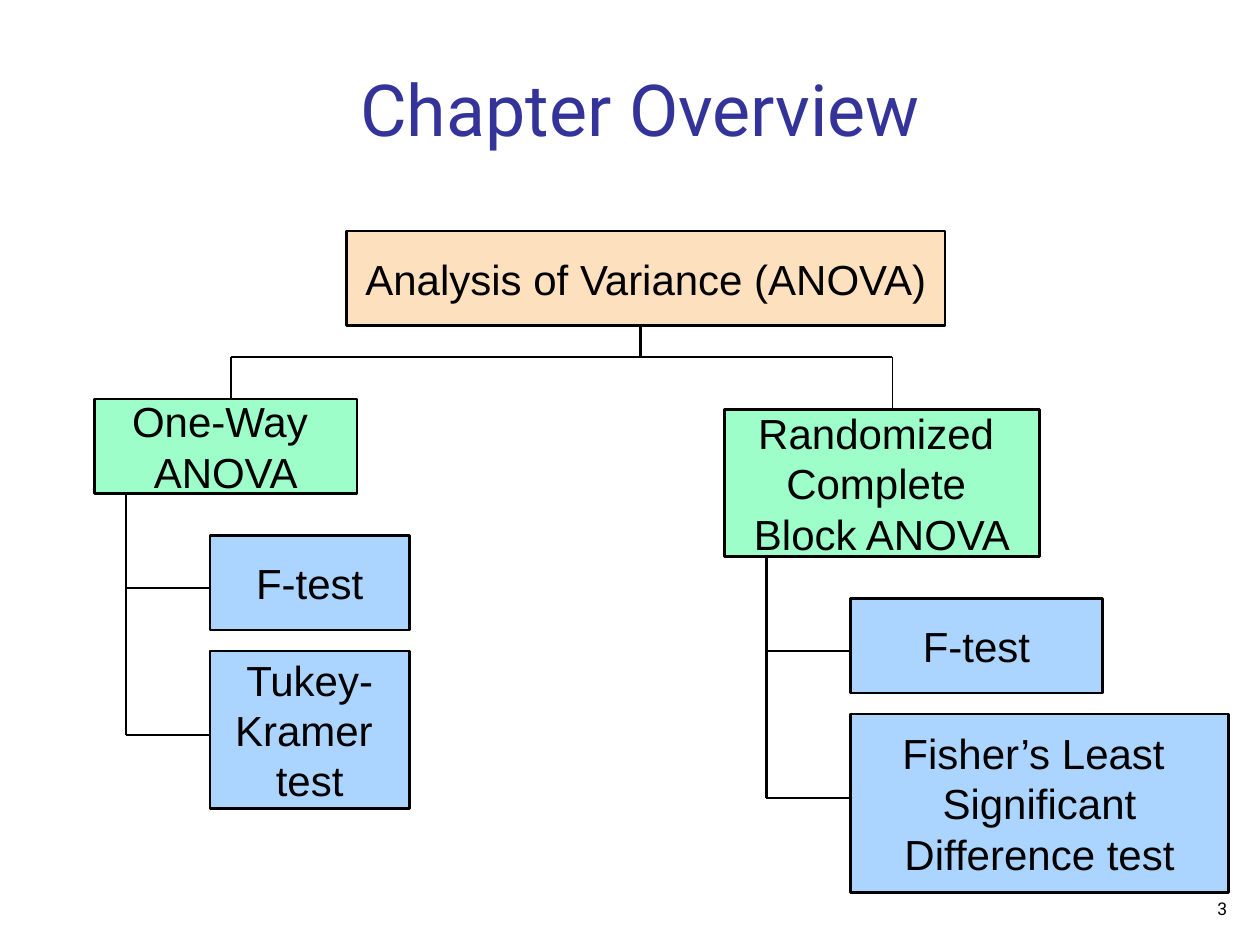
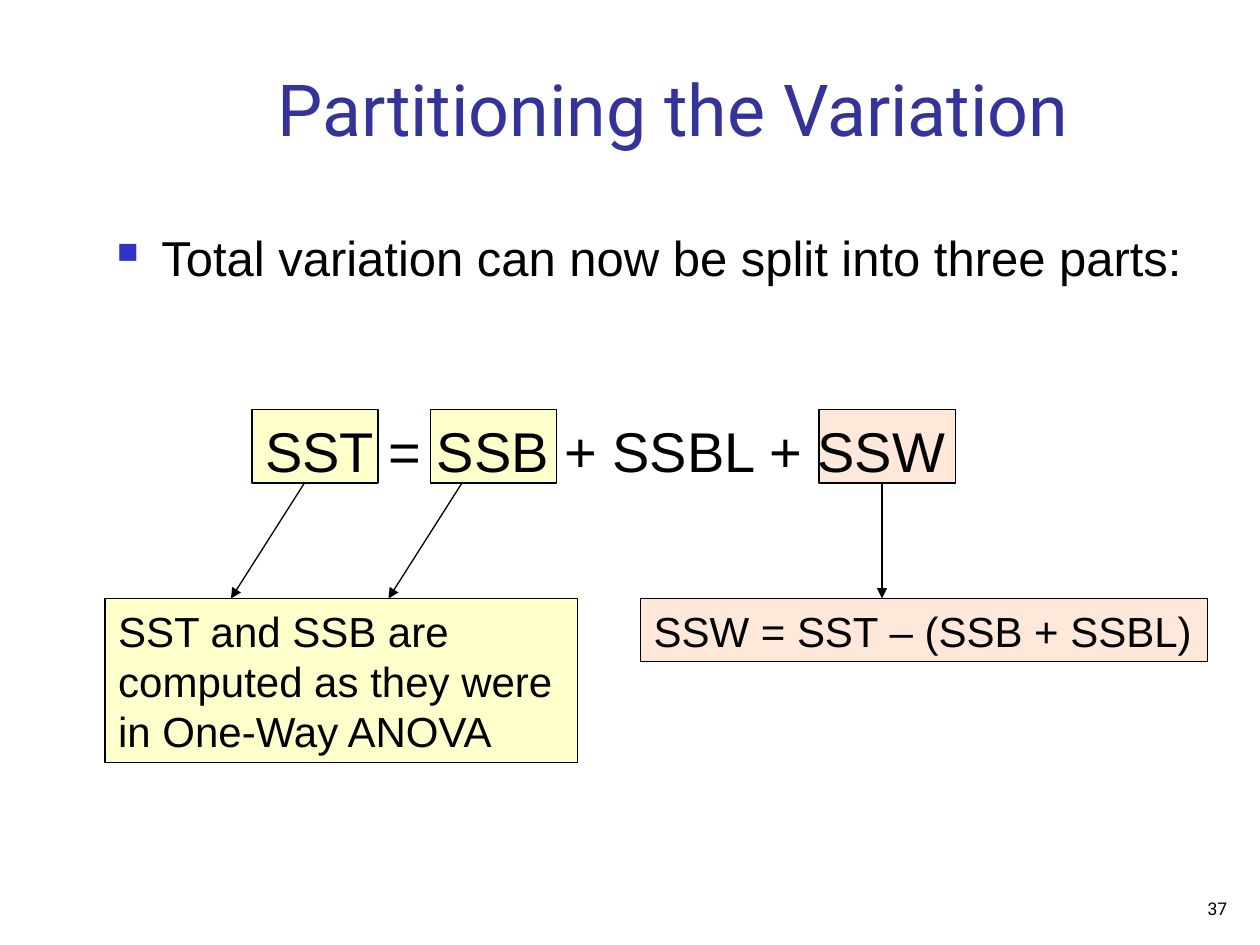
from dataclasses import dataclass

from lxml.etree import SubElement
from pptx import Presentation
from pptx.dml.color import RGBColor
from pptx.enum.shapes import MSO_CONNECTOR, MSO_SHAPE
from pptx.enum.text import MSO_ANCHOR, MSO_AUTO_SIZE, PP_ALIGN
from pptx.oxml.ns import qn
from pptx.slide import Slide
from pptx.text.text import _Paragraph as Para
from pptx.util import Pt

SCALE = 9525  # EMU in one px, 96 px to the inch
BLACK, NAVY, BLUE = "000000", "333399", "3333CC"
PEACH, GREEN, SKY = "FDE0BD", "9EFEC9", "ABD5FF"
CREAM, BLUSH = "FFFFCC", "FEE8DA"
SANS, HEAD = "Arial", "Roboto"
THICK, THIN = 1.5, 0.75
LEFT, MID, RIGHT = PP_ALIGN.LEFT, PP_ALIGN.CENTER, PP_ALIGN.RIGHT


@dataclass(frozen=True)
class Box:
    x: int
    y: int
    w: int
    h: int
    text: str = ""
    fill: str | None = None
    line: float = THIN
    size: int = 24
    font: str = SANS
    color: str = BLACK
    align: PP_ALIGN = LEFT
    anchor: MSO_ANCHOR = MSO_ANCHOR.TOP
    wrap: bool = True
    grow: bool = False
    inset: int = 10

    @property
    def base(self) -> int:
        return self.y + self.h


@dataclass(frozen=True)
class Branch:
    """A method with its tests hanging from a trunk below it."""
    head: Box
    drop: int
    leaf: int
    tests: tuple[tuple[str, int, int], ...]


def px(n: int) -> int:
    return n * SCALE


def paint(code: str) -> RGBColor:
    return RGBColor.from_string(code)


def draw(slide: Slide, box: Box) -> list[Para]:
    """Draw a filled rectangle or a bare text box; return its paragraphs."""
    area = [px(n) for n in (box.x, box.y, box.w, box.h)]
    if box.fill:
        shape = slide.shapes.add_shape(MSO_SHAPE.RECTANGLE, *area)
        shape.shadow.inherit = False
        shape.fill.solid()
        shape.fill.fore_color.rgb = paint(box.fill)
        shape.line.color.rgb = paint(BLACK)
        shape.line.width = Pt(box.line)
    else:
        shape = slide.shapes.add_textbox(*area)
    frame = shape.text_frame
    frame.word_wrap = box.wrap
    frame.vertical_anchor = box.anchor
    frame.margin_left = frame.margin_right = px(box.inset)
    frame.margin_top = frame.margin_bottom = px(5)
    if box.grow:
        frame.auto_size = MSO_AUTO_SIZE.SHAPE_TO_FIT_TEXT
    frame.text = box.text
    for para in frame.paragraphs:
        para.alignment = box.align
        para.font.size = Pt(box.size)
        para.font.name = box.font
        para.font.color.rgb = paint(box.color)
    return list(frame.paragraphs)


def link(slide: Slide, x1: int, y1: int, x2: int, y2: int,
         width: float = THICK, arrow: bool = False) -> None:
    line = slide.shapes.add_connector(
        MSO_CONNECTOR.STRAIGHT, px(x1), px(y1), px(x2), px(y2))
    line.line.color.rgb = paint(BLACK)
    line.line.width = Pt(width)
    props = line._element.spPr
    if arrow:
        SubElement(props.find(qn("a:ln")), qn("a:tailEnd"), type="triangle")
    SubElement(props, qn("a:effectLst"))


def bullet(para: Para) -> None:
    props = para._p.get_or_add_pPr()
    props.set("marL", str(px(34)))
    props.set("indent", str(px(-34)))
    marks = [SubElement(props, qn("a:buClr")),
             SubElement(props, qn("a:buSzPct"), val="60000"),
             SubElement(props, qn("a:buChar"), char="■")]
    SubElement(marks[0], qn("a:srgbClr"), val=BLUE)
    # Bullet marks come ahead of the font defaults
    fonts = props.find(qn("a:defRPr"))
    if fonts is not None:
        props.append(fonts)


def start(deck: Presentation, title: str, x: int, w: int, page: int) -> Slide:
    """Add a slide with its title and page number."""
    slide = deck.slides.add_slide(deck.slide_layouts[6])
    draw(slide, Box(x, 40, w, 80, title, size=41, font=HEAD, color=NAVY,
                    align=MID, anchor=MSO_ANCHOR.BOTTOM, inset=9))
    draw(slide, Box(744, 672, 200, 33, str(page), size=10, font=HEAD,
                    align=RIGHT, anchor=MSO_ANCHOR.BOTTOM, inset=9))
    return slide


def node(x: int, y: int, w: int, h: int, text: str, fill: str) -> Box:
    return Box(x, y, w, h, text, fill, THICK, align=MID,
               anchor=MSO_ANCHOR.MIDDLE, wrap=False)


def chart(deck: Presentation) -> None:
    """Overview tree of the methods and their tests."""
    slide = start(deck, "Chapter Overview", 120, 736, 3)
    root = node(264, 176, 456, 72, "Analysis of Variance (ANOVA)", PEACH)
    one = node(72, 304, 200, 72, "One-Way \nANOVA", GREEN)
    block = node(552, 312, 240, 112,
                 "Randomized \nComplete \nBlock ANOVA", GREEN)
    trees = (
        Branch(one, 176, 160, (("F-test", 152, 72),
                               ("Tukey-\nKramer \ntest", 152, 120))),
        Branch(block, 680, 648, (
            ("F-test", 192, 72),
            ("Fisher’s Least \nSignificant\nDifference test", 288, 136))),
    )
    bar, stem = root.base + 24, 488
    draw(slide, root)
    link(slide, stem, root.base, stem, bar)
    link(slide, trees[0].drop, bar, trees[1].drop, bar)
    for tree, width in zip(trees, (THICK, THIN)):
        base, trunk = tree.head.base, tree.leaf - 64
        draw(slide, tree.head)
        link(slide, tree.drop, bar, tree.drop, tree.head.y, width)
        link(slide, trunk, base, trunk, base + 184)
        for (text, w, h), top, arm in zip(tree.tests, (32, 120), (72, 184)):
            draw(slide, node(tree.leaf, base + top, w, h, text, SKY))
            link(slide, trunk, base + arm, tree.leaf, base + arm)


def split(deck: Presentation) -> None:
    """The sum of squares formula and how its terms are found."""
    slide = start(deck, "Partitioning the Variation", 104, 818, 37)
    lead = draw(slide, Box(
        80, 168, 856, 96, "Total variation can now be split into three parts:",
        size=28, inset=9))
    bullet(lead[0])
    top, high, low = 312, 56, 456
    for x, w, fill in ((624, 104, BLUSH), (328, 96, CREAM), (192, 96, CREAM)):
        draw(slide, Box(x, top, w, high, fill=fill))
    draw(slide, Box(192, top, 552, 61, "SST = SSB + SSBL + SSW",
                    size=32, grow=True))
    draw(slide, Box(80, low, 360, 125,
                    "SST and SSB are computed as they were in One-Way ANOVA",
                    CREAM, grow=True))
    draw(slide, Box(488, low, 432, 48, "SSW = SST – (SSB + SSBL)",
                    BLUSH, grow=True))
    for x1, x2 in ((232, 176), (352, 296), (672, 672)):
        link(slide, x1, top + high, x2, low, THIN, arrow=True)


def main() -> None:
    deck = Presentation()
    deck.slide_width, deck.slide_height = px(960), px(720)
    chart(deck)
    split(deck)
    deck.save("out.pptx")


if __name__ == "__main__":
    main()
